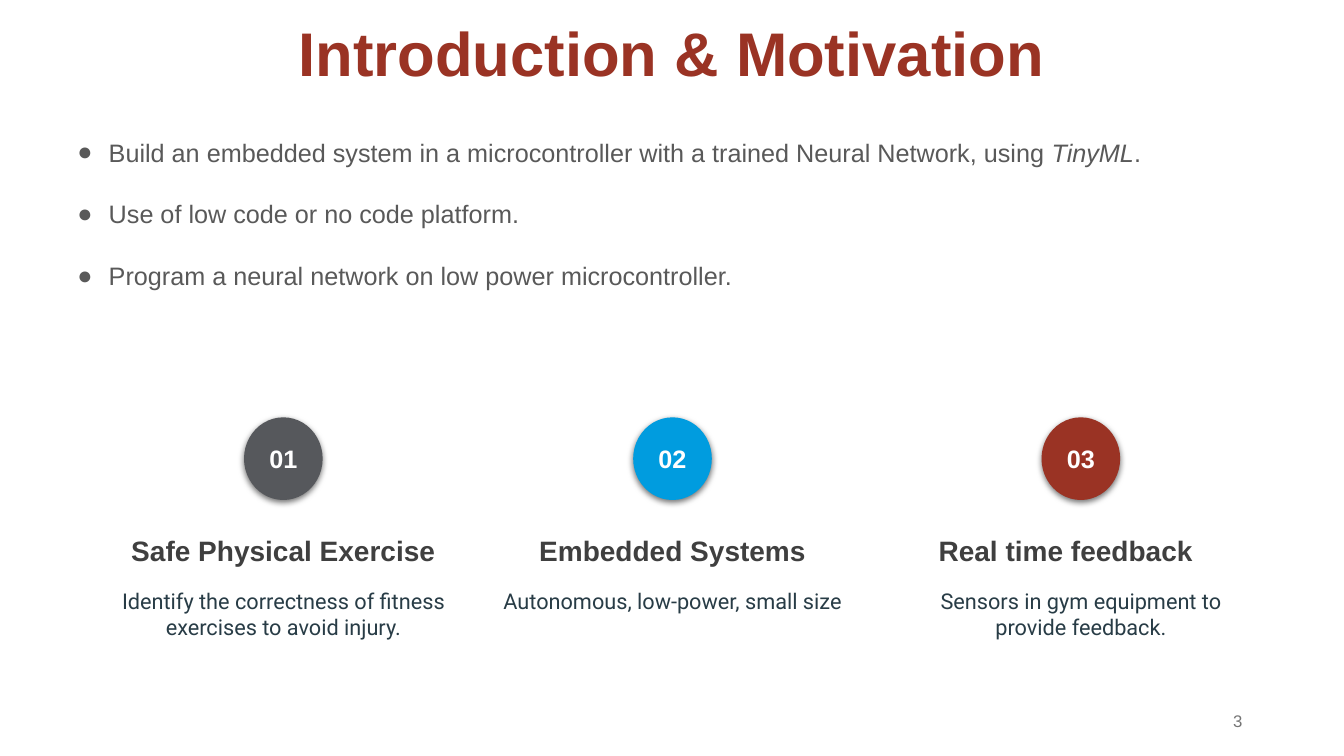
from dataclasses import dataclass
from lxml import etree
from pptx import Presentation
from pptx.dml.color import RGBColor
from pptx.enum.shapes import MSO_SHAPE as SHAPE
from pptx.enum.text import MSO_ANCHOR as ANCHOR, MSO_AUTO_SIZE as AUTO, PP_ALIGN as ALIGN
from pptx.oxml import parse_xml
from pptx.oxml.ns import nsdecls, qn
from pptx.util import Inches, Pt


@dataclass(frozen=True)
class Theme:
    font: str = "Arial"
    body_font: str = "Roboto"
    red: str = "9A3324"
    blue: str = "009CDF"
    gray: str = "56585C"
    heading: str = "3F3F3F"
    bullet: str = "595959"
    body: str = "283C46"
    number: str = "757575"
    white: str = "FFFFFF"
    title_pt: float = 44
    heading_pt: float = 20
    text_pt: float = 18
    body_pt: float = 15.5
    number_pt: float = 12


T = Theme()
SLIDE_W, SLIDE_H = 13.33, 7.5


def add_run(p, text, size, color, font=T.font, bold=False, italic=False):
    r = p.add_run()
    r.text = text
    f = r.font
    f.name, f.size, f.bold, f.italic = font, Pt(size), bold, italic
    f.color.rgb = RGBColor.from_string(color)


def add_box(s, x, y, w, h, align=ALIGN.LEFT, anchor=ANCHOR.TOP):
    tf = s.shapes.add_textbox(Inches(x), Inches(y), Inches(w), Inches(h)).text_frame
    tf.word_wrap, tf.vertical_anchor = True, anchor
    tf.paragraphs[0].alignment = align
    return tf


def add_title(s, text, x, y, w, h):
    sp = s.shapes.title
    sp.left, sp.top, sp.width, sp.height = map(Inches, (x, y, w, h))
    tf = sp.text_frame
    tf.auto_size, tf.vertical_anchor = AUTO.NONE, ANCHOR.MIDDLE
    p = tf.paragraphs[0]
    p.alignment, p.line_spacing = ALIGN.CENTER, 0.9
    add_run(p, text, T.title_pt, T.red, bold=True)


def add_bullets(s, items, x, y, w, h):
    tf = add_box(s, x, y, w, h)
    for i, parts in enumerate(items):
        p = tf.paragraphs[0] if i == 0 else tf.add_paragraph()
        p.space_before = Pt(22.5 if i else 0)
        pPr = p._p.get_or_add_pPr()
        pPr.set("marL", str(Inches(0.31)))
        pPr.set("indent", str(Inches(-0.31)))
        color = etree.SubElement(pPr, qn("a:buClr"))
        etree.SubElement(color, qn("a:srgbClr"), val=T.bullet)
        etree.SubElement(pPr, qn("a:buFont"), typeface=T.font)
        etree.SubElement(pPr, qn("a:buChar"), char="●")
        for text, italic in parts:
            add_run(p, text, T.text_pt, T.bullet, italic=italic)


def add_badge(s, label, color, x, y, w, h):
    sp = s.shapes.add_shape(SHAPE.OVAL, Inches(x), Inches(y), Inches(w), Inches(h))
    sp.fill.solid()
    sp.fill.fore_color.rgb = RGBColor.from_string(color)
    sp.line.fill.background()
    # Soft shadow straight below the circle
    sp._element.spPr.append(parse_xml(
        f'<a:effectLst {nsdecls("a")}><a:outerShdw blurRad="{Pt(4.5)}" dist="{Pt(1.5)}" '
        'dir="5400000" algn="t" rotWithShape="0"><a:srgbClr val="000000">'
        '<a:alpha val="54000"/></a:srgbClr></a:outerShdw></a:effectLst>'))
    tf = sp.text_frame
    tf.margin_left = tf.margin_right = 0
    tf.vertical_anchor = ANCHOR.MIDDLE
    p = tf.paragraphs[0]
    p.alignment = ALIGN.CENTER
    add_run(p, label, T.text_pt, T.white, bold=True)


def add_column(s, label, color, heading, body, x, y, w, heading_shift=0):
    """Badge, heading and body text, centred in a column of width w."""
    badge_w, badge_h = 0.78, 0.82
    add_badge(s, label, color, x + (w - badge_w) / 2, y, badge_w, badge_h)
    tf = add_box(s, x + heading_shift, y + 1.1, w, 0.44, ALIGN.CENTER)
    add_run(tf.paragraphs[0], heading, T.heading_pt, T.heading, bold=True)
    tf = add_box(s, x, y + 1.64, w, 0.91, ALIGN.CENTER)
    add_run(tf.paragraphs[0], body, T.body_pt, T.body, T.body_font)


def add_number(s, text, x, y, w, h):
    tf = add_box(s, x, y, w, h, ALIGN.RIGHT, ANCHOR.MIDDLE)
    add_run(tf.paragraphs[0], text, T.number_pt, T.number)


def main():
    prs = Presentation()
    prs.slide_width, prs.slide_height = Inches(SLIDE_W), Inches(SLIDE_H)
    s = prs.slides.add_slide(prs.slide_layouts[5])

    # Title and goals
    add_title(s, "Introduction & Motivation", 0, 0, SLIDE_W, 1.12)
    add_bullets(s, [
        [("Build an embedded system in a microcontroller with a trained Neural Network, using ", False),
         ("TinyML", True), (".", False)],
        [("Use of low code or no code platform.", False)],
        [("Program a neural network on low power microcontroller.", False)],
    ], 0.67, 1.31, 11.59, 1.72)

    # Three motivations
    top = 4.14
    add_column(s, "01", T.gray, "Safe Physical Exercise",
               "Identify the correctness of fitness exercises to avoid injury.", 0.8, top, 4.02)
    add_column(s, "02", T.blue, "Embedded Systems",
               "Autonomous, low-power, small size", 4.66, top, 4.02)
    add_column(s, "03", T.red, "Real time feedback",
               "Sensors in gym equipment to provide feedback.", 8.86, top, 3.72, heading_shift=-0.15)

    # Slide number
    add_number(s, "3", 9.42, 6.95, 3, 0.4)
    prs.save("out.pptx")


if __name__ == "__main__":
    main()
